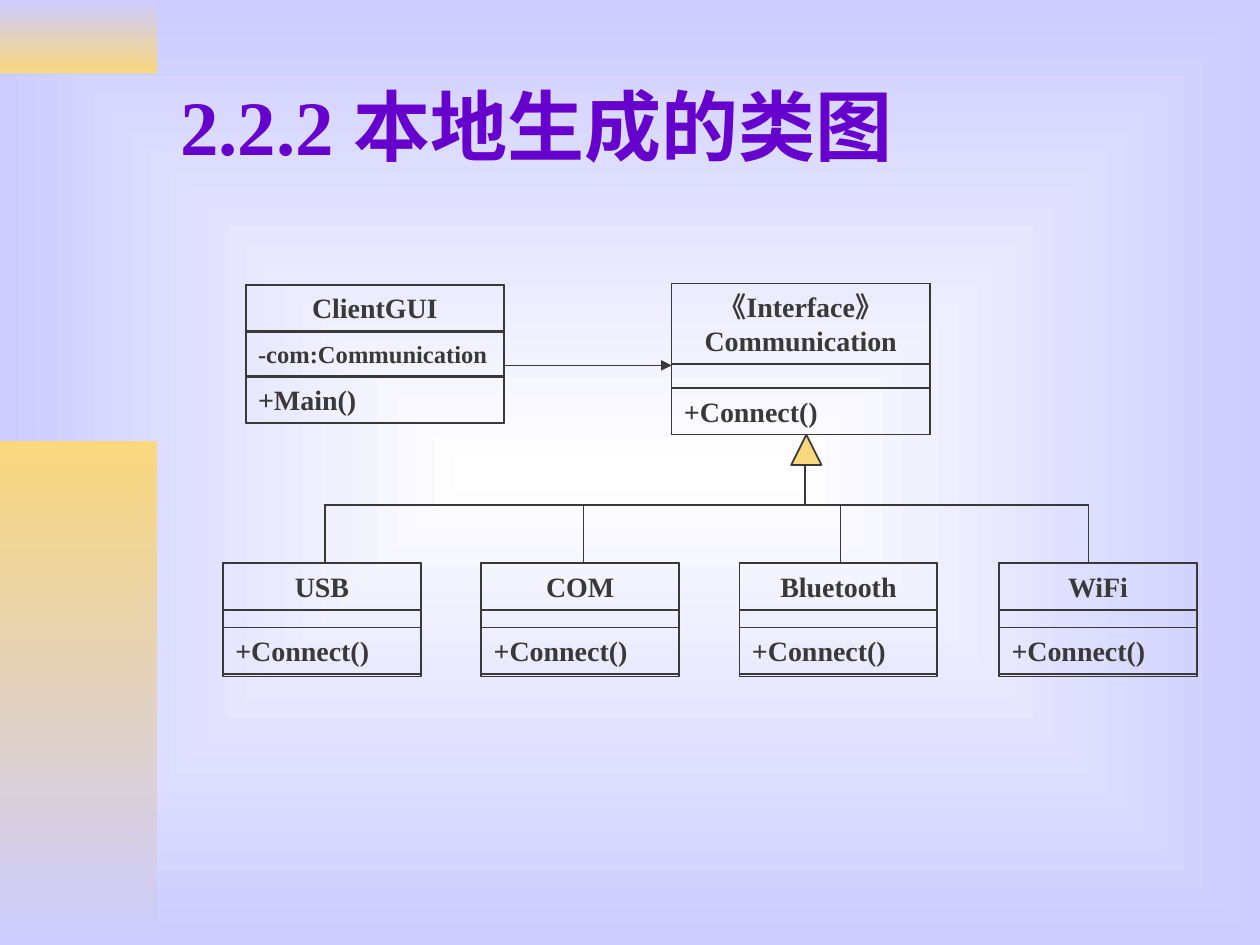
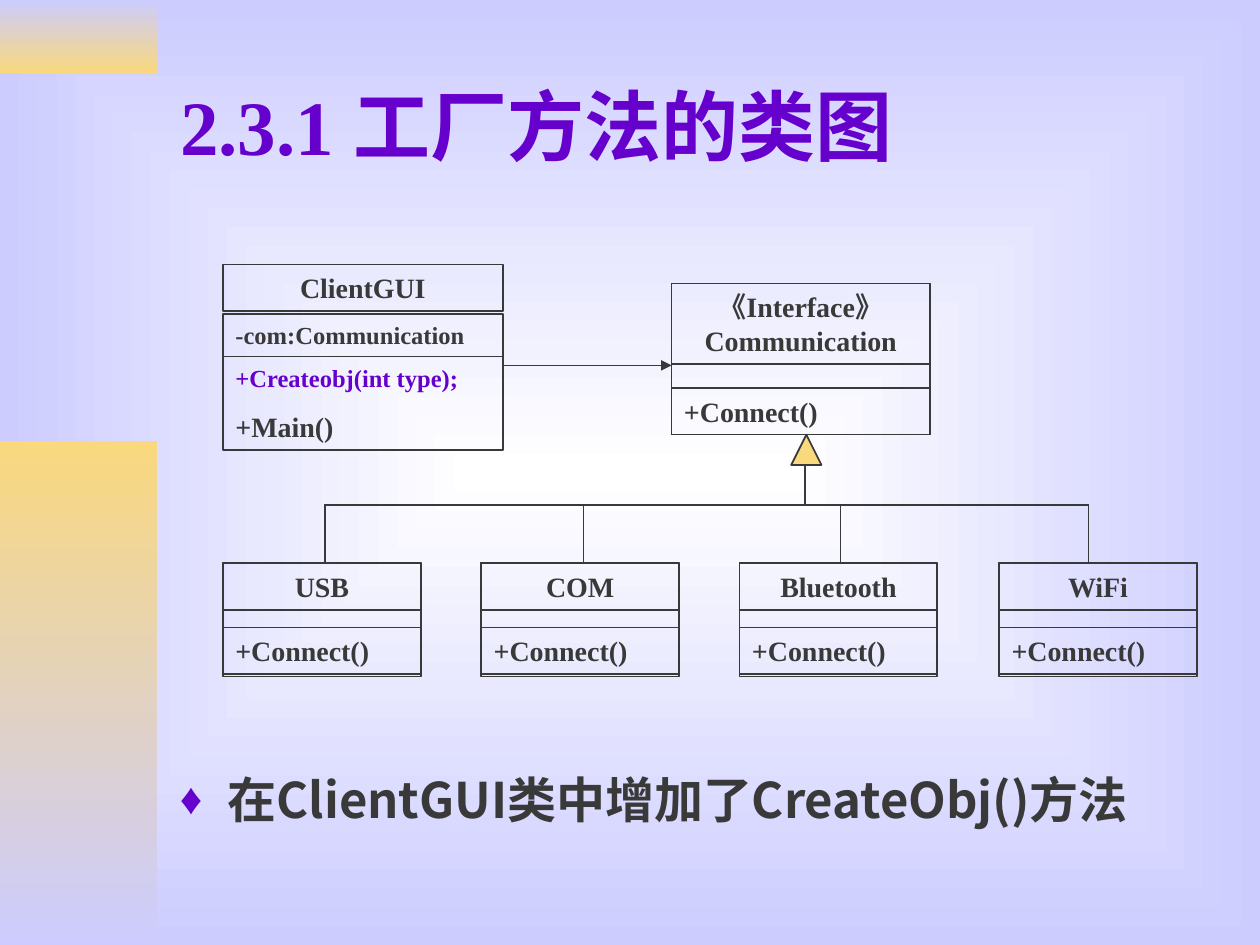
from lxml import etree
from pptx import Presentation
from pptx import util as u
from pptx.dml.color import RGBColor
from pptx.enum import shapes, text
from pptx.oxml import ns

COLORS = {
    "ink": "393939",
    "accent": "6600CC",
    "gold": "F9D87E",
    "lilac": "CCCCFF",
    "white": "FFFFFF",
}
LATIN, CJK = "Times New Roman", "Noto Sans CJK SC"
LEFT, CENTER = text.PP_ALIGN.LEFT, text.PP_ALIGN.CENTER

# Subclass name: (left edge, x of its inheritance line)
SUBCLASSES = {
    "USB": (1.77, 2.58),
    "COM": (3.82, 4.63),
    "Bluetooth": (5.87, 6.67),
    "WiFi": (7.93, 8.64),
}
SUBCLASS_TOP, BRANCH_Y, ARROW_X = 4.47, 4.01, 6.39


def sub(parent, tag, **attributes):
    return etree.SubElement(parent, ns.qn(tag), attributes)


def rgb(name):
    return RGBColor.from_string(COLORS[name])


class Deck:
    def __init__(self):
        self.prs = Presentation()
        self.prs.slide_width, self.prs.slide_height = u.Inches(10), u.Inches(7.5)
        self.slide = None
        self.set_background()

    def set_background(self):
        fill = self.prs.slide_master.background.fill
        self.gradient(fill, "white", "lilac")
        for linear in self.prs.slide_master.element.iter(ns.qn("a:lin")):
            glow = etree.Element(ns.qn("a:path"), {"path": "rect"})
            sub(glow, "a:fillToRect", l="50000", t="50000", r="50000", b="50000")
            linear.getparent().replace(linear, glow)
            break

    def gradient(self, fill, start, end):
        fill.gradient()
        fill.gradient_angle = 270
        for stop, color in zip(fill.gradient_stops, (start, end)):
            stop.color.rgb = rgb(color)

    def new_slide(self, title):
        self.slide = self.prs.slides.add_slide(self.prs.slide_layouts[5])
        # Side bands
        for top, height, colors in ((0, 0.58, ("lilac", "gold")),
                                    (3.5, 4, ("gold", "lilac"))):
            band = self.shape(0, top, 1.25, height)
            self.gradient(band.fill, *colors)
            band.line.fill.background()
        # Title
        heading = self.slide.shapes.title
        heading.left, heading.top = u.Inches(1.33), u.Inches(0.33)
        heading.width, heading.height = u.Inches(8.5), u.Inches(1.32)
        frame = heading.text_frame
        frame.auto_size = text.MSO_AUTO_SIZE.NONE
        frame.vertical_anchor = text.MSO_ANCHOR.MIDDLE
        frame.paragraphs[0].alignment = LEFT
        self.run(frame.paragraphs[0], title, 44, "accent")

    def run(self, paragraph, words, size, color="ink", latin=LATIN):
        run = paragraph.add_run()
        run.text = words
        run.font.size, run.font.bold = u.Pt(size), True
        run.font.color.rgb = rgb(color)
        run.font.name = latin
        sub(run.font._element, "a:ea", typeface=CJK)

    def shape(self, left, top, width, height, fill=None,
              kind=shapes.MSO_SHAPE.RECTANGLE):
        shape = self.slide.shapes.add_shape(
            kind, *map(u.Inches, (left, top, width, height)))
        shape.shadow.inherit = False
        shape.line.color.rgb, shape.line.width = rgb("ink"), u.Pt(1)
        if fill:
            shape.fill.solid()
            shape.fill.fore_color.rgb = rgb(fill)
        else:
            shape.fill.background()
        return shape

    def compartment(self, left, top, width, height, lines, align=LEFT):
        frame = self.shape(left, top, width, height).text_frame
        frame.word_wrap = True
        frame.vertical_anchor = text.MSO_ANCHOR.TOP
        for i, line in enumerate(lines):
            paragraph = frame.add_paragraph() if i else frame.paragraphs[0]
            paragraph.alignment = align
            if i:
                paragraph.space_before = u.Pt(10)
            self.run(paragraph, *line)

    def class_box(self, left, width, name, members, outline=None):
        """name and each member: (top, height, lines); outline: (top, height)."""
        if outline:
            self.shape(left, outline[0], width, outline[1])
        for part, align in [(name, CENTER)] + [(m, LEFT) for m in members]:
            top, height, lines = part
            self.compartment(left, top, width, height, lines, align)

    def line(self, x1, y1, x2, y2, arrow=False):
        line = self.slide.shapes.add_connector(
            shapes.MSO_CONNECTOR.STRAIGHT, *map(u.Inches, (x1, y1, x2, y2)))
        line.line.color.rgb, line.line.width = rgb("ink"), u.Pt(1)
        properties = line._element.spPr
        if arrow:
            sub(properties.find(ns.qn("a:ln")), "a:tailEnd", type="triangle")
        sub(properties, "a:effectLst")

    def bullet(self, words):
        box = self.slide.shapes.add_textbox(
            *map(u.Inches, (1.33, 6.11, 8.5, 0.55)))
        box.text_frame.word_wrap = True
        paragraph = box.text_frame.paragraphs[0]
        paragraph.line_spacing = 0.9
        properties = paragraph._p.get_or_add_pPr()
        indent = u.Inches(0.38)
        properties.set("marL", str(indent))
        properties.set("indent", str(-indent))
        sub(sub(properties, "a:buClr"), "a:srgbClr", val=COLORS["accent"])
        sub(properties, "a:buSzPct", val="90000")
        sub(properties, "a:buFont", typeface=LATIN)
        sub(properties, "a:buChar", char="♦")
        self.run(paragraph, words, 28, latin=CJK)

    def communication_hierarchy(self):
        connect = [("+Connect()", 16)]
        # Interface
        self.class_box(5.33, 2.05,
                       (2.25, 0.64, [("《Interface》Communication", 16)]),
                       [(3.08, 0.37, connect)], outline=(2.25, 1.2))
        # Subclasses
        for name, (left, _) in SUBCLASSES.items():
            self.class_box(left, 1.57, (SUBCLASS_TOP, 0.37, [(name, 16)]),
                           [(4.98, 0.37, connect)], outline=(SUBCLASS_TOP, 0.9))
        # Client uses the interface
        self.line(3.99, 2.9, 5.33, 2.9, arrow=True)
        # Inheritance tree
        self.shape(6.28, 3.45, 0.24, 0.24, "gold",
                   shapes.MSO_SHAPE.FLOWCHART_EXTRACT)
        self.line(ARROW_X, 3.69, ARROW_X, BRANCH_Y)
        stems = [stem for _, stem in SUBCLASSES.values()]
        self.line(stems[0], BRANCH_Y, stems[-1], BRANCH_Y)
        for stem in stems:
            self.line(stem, 4, stem, SUBCLASS_TOP)


def main():
    deck = Deck()
    client = [("ClientGUI", 16)]
    com_field = [("-com:Communication", 14)]
    main_method = ("+Main()", 16)

    # Locally generated class diagram
    deck.new_slide("2.2.2 本地生成的类图")
    deck.class_box(1.95, 2.05, (2.26, 0.37, client),
                   [(2.64, 0.34, com_field), (2.99, 0.37, [main_method])],
                   outline=(2.26, 1.1))
    deck.communication_hierarchy()

    # Factory method class diagram
    deck.new_slide("2.3.1 工厂方法的类图")
    deck.bullet("在ClientGUI类中增加了CreateObj()方法")
    create_method = ("+Createobj(int type);", 14, "accent")
    deck.class_box(1.77, 2.22, (2.1, 0.37, client),
                   [(2.49, 0.34, com_field),
                    (2.83, 0.74, [create_method, main_method])])
    deck.communication_hierarchy()

    deck.prs.save("out.pptx")


if __name__ == "__main__":
    main()
